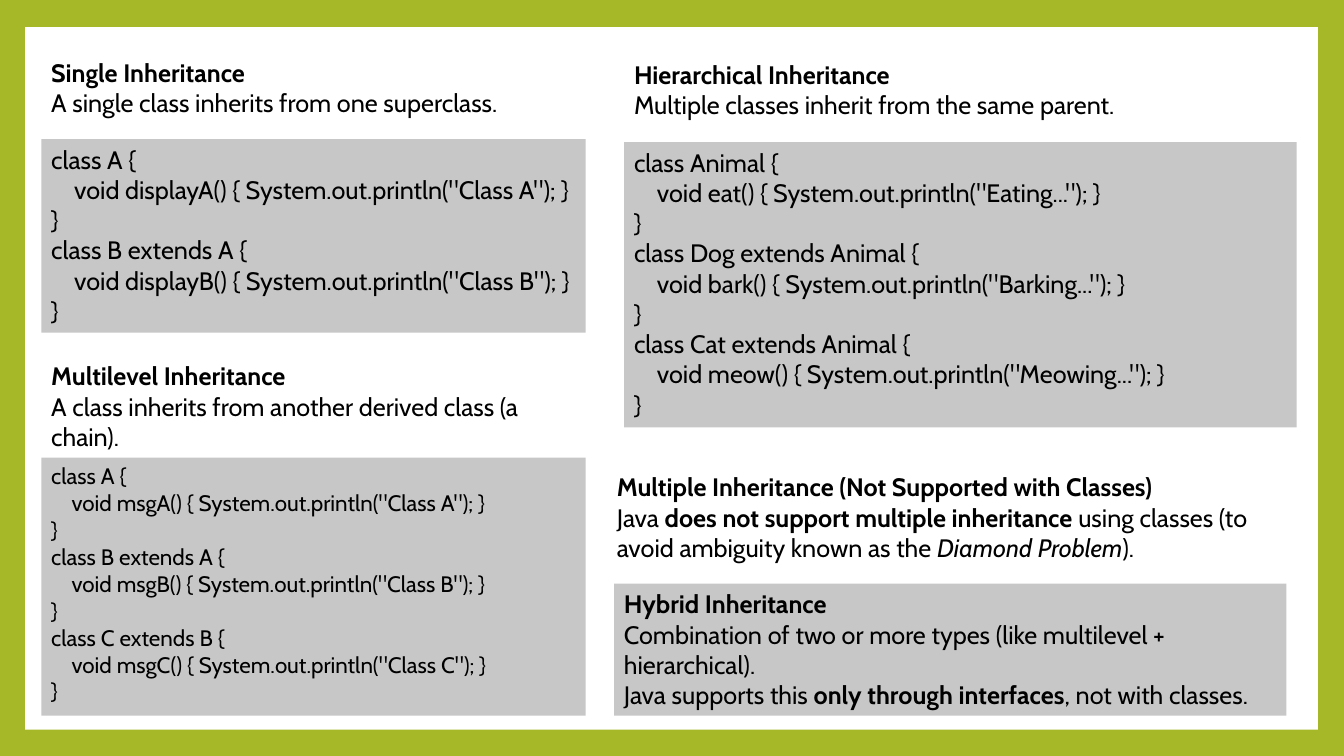
from dataclasses import dataclass

from pptx import Presentation
from pptx.dml.color import RGBColor
from pptx.enum.shapes import MSO_SHAPE
from pptx.enum.text import MSO_ANCHOR, MSO_AUTO_SIZE, PP_ALIGN
from pptx.util import Emu, Pt

RECT = MSO_SHAPE.RECTANGLE
TOP = MSO_ANCHOR.TOP
LEFT = PP_ALIGN.LEFT
FIT = MSO_AUTO_SIZE.SHAPE_TO_FIT_TEXT

PX = 9144  # 100 px to the inch


@dataclass(frozen=True)
class Theme:
    font: str = "Cabin"
    border: RGBColor = RGBColor(0xA6, 0xB7, 0x27)
    page: RGBColor = RGBColor(0xFF, 0xFF, 0xFF)
    panel: RGBColor = RGBColor(0xC7, 0xC7, 0xC7)
    text: RGBColor = RGBColor(0x00, 0x00, 0x00)
    body: int = 18
    small: int = 16


THEME = Theme()


@dataclass(frozen=True)
class Box:
    x: int
    y: int
    w: int
    h: int


@dataclass(frozen=True)
class Span:
    text: str
    bold: bool = False
    italic: bool = False


@dataclass(frozen=True)
class Note:
    box: Box
    title: str
    lines: list[list[Span]]
    filled: bool = False


@dataclass(frozen=True)
class Code:
    box: Box
    classes: list[tuple[str, str, str]]  # declaration, method, printed text
    size: int = THEME.body


NOTES = [
    Note(Box(41, 52, 667, 71), "Single Inheritance",
         [[Span("A single class inherits from one superclass.")]]),
    Note(Box(41, 353, 550, 101), "Multilevel Inheritance",
         [[Span("A class inherits from another derived class (a chain).")]]),
    Note(Box(619, 54, 667, 71), "Hierarchical Inheritance",
         [[Span("Multiple classes inherit from the same parent.")]]),
    Note(Box(602, 463, 667, 101), "Multiple Inheritance (Not Supported with Classes)",
         [[Span("Java "),
           Span("does not support multiple inheritance", bold=True),
           Span(" using classes (to avoid ambiguity known as the "),
           Span("Diamond Problem", italic=True),
           Span(").")]]),
    Note(Box(609, 579, 667, 131), "Hybrid Inheritance",
         [[Span("Combination of two or more types (like multilevel + hierarchical).")],
          [Span("Java supports this "),
           Span("only through interfaces", bold=True),
           Span(", not with classes.")]],
         filled=True),
]

CODES = [
    Code(Box(41, 138, 540, 192),
         [("A", "displayA", "Class A"),
          ("B extends A", "displayB", "Class B")]),
    Code(Box(41, 454, 540, 256),
         [("A", "msgA", "Class A"),
          ("B extends A", "msgB", "Class B"),
          ("C extends B", "msgC", "Class C")],
         THEME.small),
    Code(Box(619, 141, 667, 283),
         [("Animal", "eat", "Eating..."),
          ("Dog extends Animal", "bark", "Barking..."),
          ("Cat extends Animal", "meow", "Meowing...")]),
]


def place(box: Box) -> list[Emu]:
    return [Emu(v * PX) for v in (box.x, box.y, box.w, box.h)]


def add_panel(slide, box: Box, color: RGBColor):
    sp = slide.shapes.add_shape(RECT, *place(box))
    sp.shadow.inherit = False
    sp.fill.solid()
    sp.fill.fore_color.rgb = color
    sp.line.fill.background()
    return sp


def prepare_text(sp):
    tf = sp.text_frame
    tf.word_wrap = True
    tf.auto_size = FIT
    tf.vertical_anchor = TOP
    return tf


def add_line(tf, first: bool, spans: list[Span], size: int, indent: int = 0) -> None:
    p = tf.paragraphs[0] if first else tf.add_paragraph()
    p.alignment = LEFT
    p.font.name = THEME.font
    p.font.size = Pt(size)
    p.font.color.rgb = THEME.text
    if indent:
        p._p.get_or_add_pPr().set("marL", str(indent))
    for span in spans:
        r = p.add_run()
        r.text = span.text
        if span.bold:
            r.font.bold = True
        if span.italic:
            r.font.italic = True


def add_note(slide, note: Note) -> None:
    if note.filled:
        sp = add_panel(slide, note.box, THEME.panel)
    else:
        sp = slide.shapes.add_textbox(*place(note.box))
    tf = prepare_text(sp)
    add_line(tf, True, [Span(note.title, bold=True)], THEME.body)
    for spans in note.lines:
        add_line(tf, False, spans, THEME.body)


def add_code(slide, code: Code) -> None:
    tf = prepare_text(add_panel(slide, code.box, THEME.panel))
    indent = int(Pt(code.size) * 0.91)
    for i, (declaration, method, printed) in enumerate(code.classes):
        call = f'void {method}() {{ System.out.println("{printed}"); }}'
        add_line(tf, i == 0, [Span(f"class {declaration} {{")], code.size)
        add_line(tf, False, [Span(call)], code.size, indent)
        add_line(tf, False, [Span("}")], code.size)


def main() -> None:
    prs = Presentation()
    prs.slide_width, prs.slide_height = Emu(1333 * PX), Emu(750 * PX)
    slide = prs.slides.add_slide(prs.slide_layouts[6])

    # Green border around a white page
    slide.background.fill.solid()
    slide.background.fill.fore_color.rgb = THEME.border
    add_panel(slide, Box(25, 27, 1282, 697), THEME.page)

    # Explanations and code samples
    for note in NOTES:
        add_note(slide, note)
    for code in CODES:
        add_code(slide, code)

    prs.save("out.pptx")


if __name__ == "__main__":
    main()
